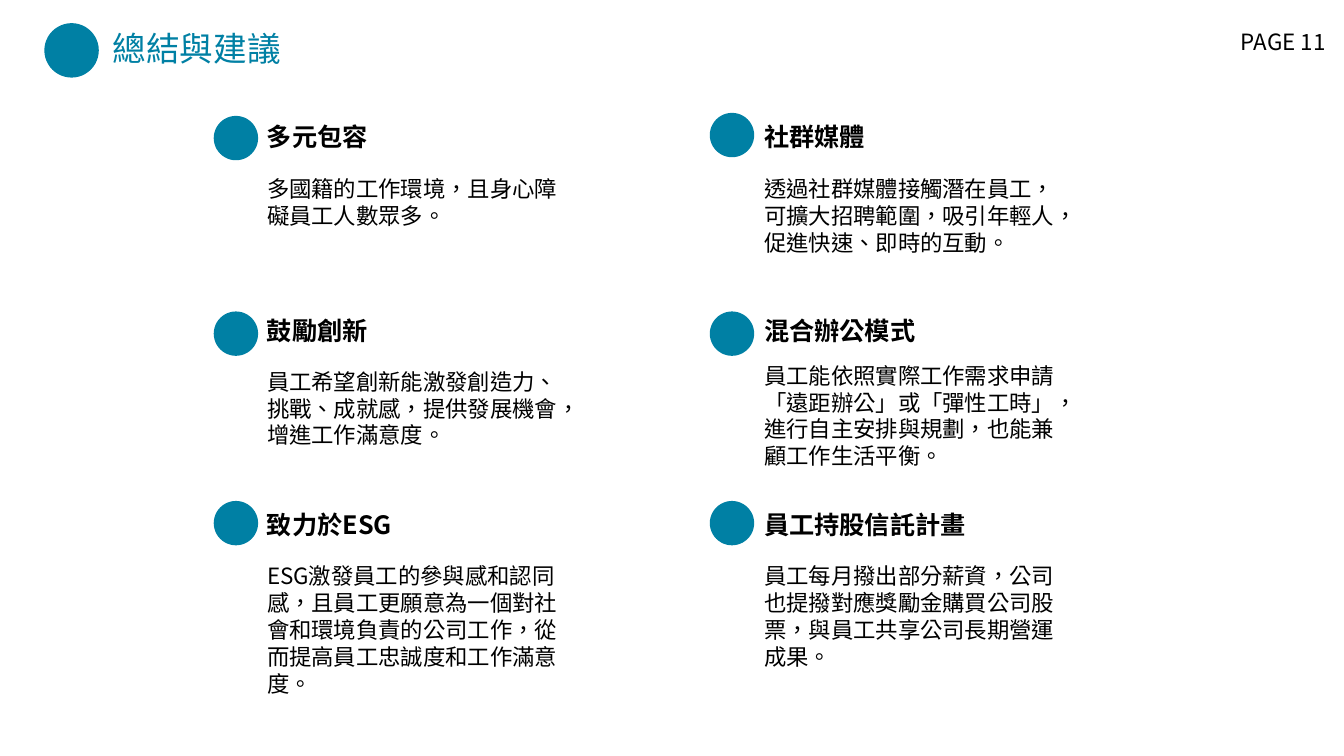
from dataclasses import dataclass

from lxml import etree
from pptx import Presentation
from pptx.dml.color import RGBColor
from pptx.enum import shapes, text
from pptx.oxml import ns
from pptx.slide import Slide
from pptx.util import Inches

from pptx import util as u

TEAL = RGBColor(0x00, 0x80, 0xA4)
BLACK = RGBColor(0x00, 0x00, 0x00)
FONT = "Noto Sans CJK SC"
COLUMNS = (2.12, 7.04)
HEADING_TOPS = (1.15, 3.08, 5.0)
DOT = 0.44
BODY_WIDTH = 3.19
LINE_HEIGHT = 0.27


@dataclass(frozen=True)
class Suggestion:
    column: int
    row: int
    heading: str
    body: str
    dot_top: float
    body_top: float
    lines: int


SUGGESTIONS = (
    Suggestion(0, 0, "多元包容", "多國籍的工作環境，且身心障礙員工人數眾多。", 1.15, 1.69, 2),
    Suggestion(1, 0, "社群媒體",
               "透過社群媒體接觸潛在員工，可擴大招聘範圍，吸引年輕人，促進快速、即時的互動。",
               1.12, 1.69, 3),
    Suggestion(0, 1, "鼓勵創新",
               "員工希望創新能激發創造力、挑戰、成就感，提供發展機會，增進工作滿意度。",
               3.09, 3.6, 3),
    Suggestion(1, 1, "混合辦公模式",
               "員工能依照實際工作需求申請「遠距辦公」或「彈性工時」，進行自主安排與規劃，也能兼顧工作生活平衡。",
               3.09, 3.54, 4),
    Suggestion(0, 2, "致力於ESG",
               "ESG激發員工的參與感和認同感，且員工更願意為一個對社會和環境負責的公司工作，從而提高員工忠誠度和工作滿意度。",
               4.97, 5.53, 5),
    Suggestion(1, 2, "員工持股信託計畫",
               "員工每月撥出部分薪資，公司也提撥對應獎勵金購買公司股票，與員工共享公司長期營運成果。",
               4.97, 5.53, 4),
)


def add_dot(slide: Slide, left: float, top: float, size: float) -> None:
    dot = slide.shapes.add_shape(shapes.MSO_SHAPE.OVAL, Inches(left), Inches(top),
                                 Inches(size), Inches(size))
    dot.shadow.inherit = False
    dot.fill.solid()
    dot.fill.fore_color.rgb = TEAL
    dot.line.fill.background()


def add_label(slide: Slide, wording: str, left: float, top: float, width: float,
              height: float, size: int, color: RGBColor = BLACK,
              bold: bool = False) -> None:
    label = slide.shapes.add_textbox(Inches(left), Inches(top), Inches(width), Inches(height))
    frame = label.text_frame
    frame.word_wrap = True
    frame.auto_size = text.MSO_AUTO_SIZE.SHAPE_TO_FIT_TEXT
    frame.text = wording
    run = frame.paragraphs[0].runs[0]
    run.font.size = u.Pt(size)
    run.font.bold = bold
    run.font.color.rgb = color
    run.font.name = FONT
    properties = run.font._element
    properties.set("lang", "zh-TW")
    etree.SubElement(properties, ns.qn("a:ea")).set("typeface", FONT)


def add_suggestion(slide: Slide, item: Suggestion) -> None:
    dot_left = COLUMNS[item.column]
    text_left = dot_left + DOT - 0.01 * (item.column == 0)
    add_dot(slide, dot_left, item.dot_top, DOT)
    add_label(slide, item.heading, text_left, HEADING_TOPS[item.row], 2.76, 0.4, 18, bold=True)
    add_label(slide, item.body, text_left, item.body_top, BODY_WIDTH,
              0.1 + LINE_HEIGHT * item.lines, 16)


def main() -> None:
    presentation = Presentation()
    presentation.slide_width = Inches(13.33)
    presentation.slide_height = Inches(7.5)
    slide = presentation.slides.add_slide(presentation.slide_layouts[6])
    add_dot(slide, 0.44, 0.23, 0.54)
    add_label(slide, "總結與建議", 1.02, 0.23, 2.58, 0.5, 24, TEAL)
    add_label(slide, "PAGE 11", 12.21, 0.23, 1.22, 0.37, 16)
    for item in SUGGESTIONS:
        add_suggestion(slide, item)
    presentation.save("out.pptx")


if __name__ == "__main__":
    main()
